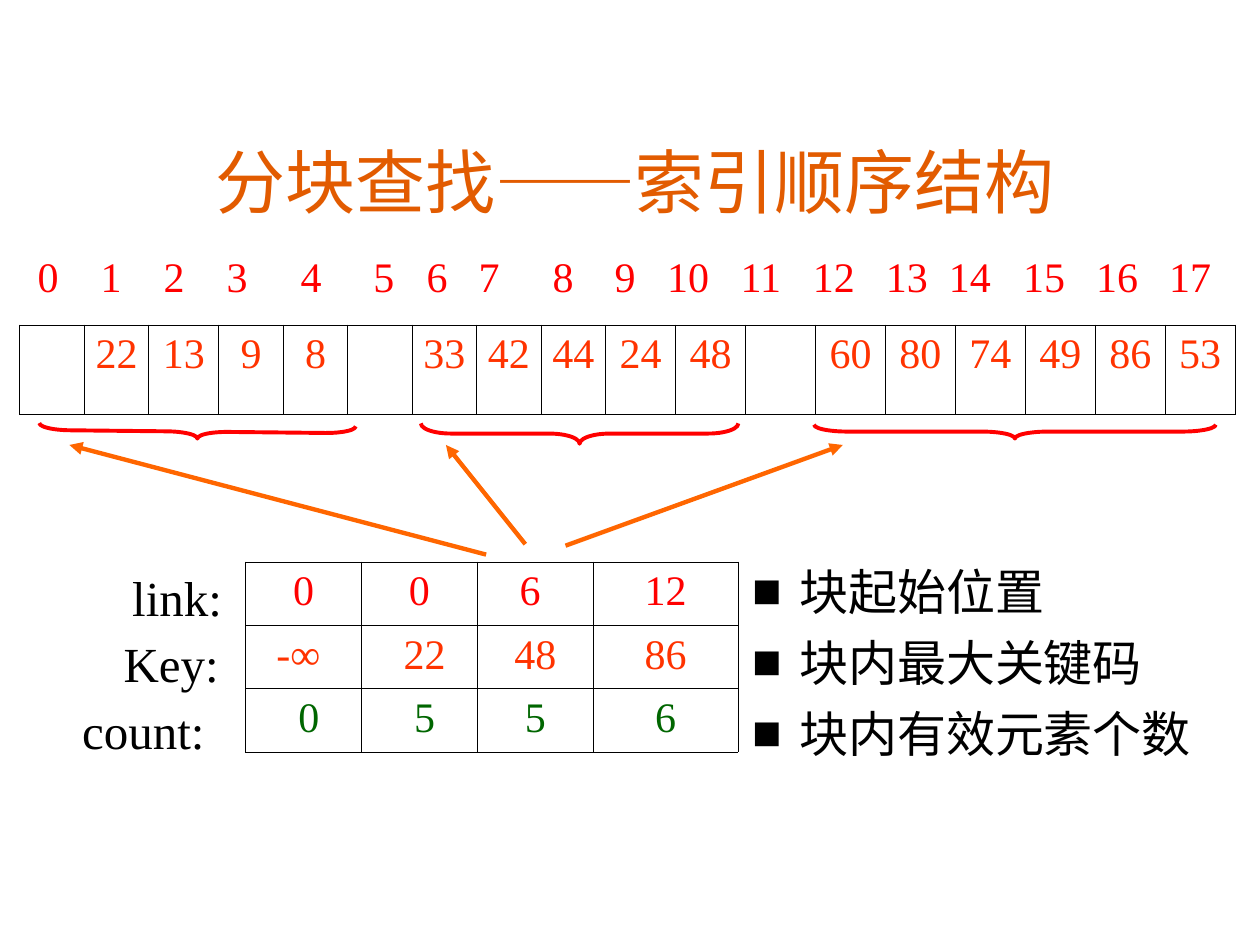
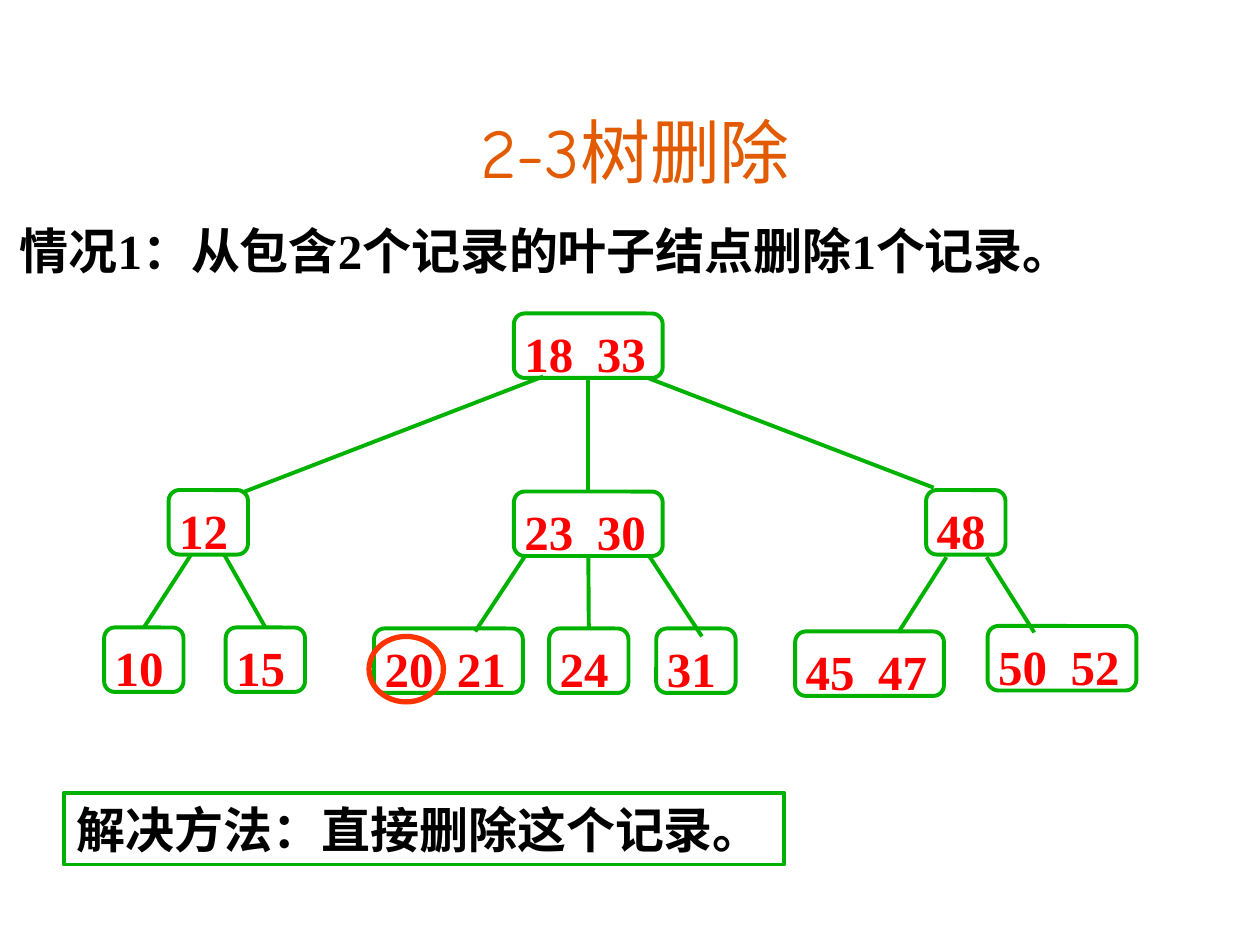
from lxml.etree import SubElement as Sub
from pptx import Presentation
from pptx.dml.color import RGBColor as Rgb
from pptx.enum.shapes import MSO_CONNECTOR as Link, MSO_SHAPE as Kind
from pptx.enum.text import MSO_ANCHOR as Anchor, MSO_AUTO_SIZE as Fit, PP_ALIGN as Align
from pptx.oxml.ns import qn
from pptx.util import Cm, Pt

BLACK = Rgb(0, 0, 0)
RED = Rgb(0xFF, 0, 0)
FLAME = Rgb(0xFF, 0x33, 0)
AMBER = Rgb(0xFF, 0x66, 0)
RUST = Rgb(0xE2, 0x5B, 0)
GREEN = Rgb(0, 0xB2, 0)
PINE = Rgb(0, 0x66, 0)
SERIF, SANS, COMIC = "Times New Roman", "Noto Sans CJK SC", "Comic Neue"

STOPS = [2.24, 3.51, 4.78, 6.27, 7.74, 8.81, 9.86, 11.35, 12.6,
         13.87, 15.34, 16.81, 18.28, 19.55, 21.05, 22.52, 23.99]
KEYS = ["", "22", "13", "9", "8", "", "33", "42", "44",
        "24", "48", "", "60", "80", "74", "49", "86", "53"]
BLOCKS = [
    (RED, ["0", "0", "6 ", "12"]),
    (FLAME, ["-∞ ", " 22", "48", "86"]),
    (PINE, [" 0", " 5", "5", "6"]),
]
LABELS = [("link:", 1.57, 11.32), ("Key:", 1.45, 12.65), ("count:", 0.89, 14)]
BRACES = [
    (3.84, 5.51, 0.28, 6.38, 270.6, 2.2),
    (11.48, 5.54, 0.41, 6.4, 270, 1.5),
    (20.32, 4.65, 0.28, 8.1, 270, 2.4),
]
ARROWS = [(9.8, 11.18, 1.4, 8.97), (10.59, 10.97, 8.99, 8.97), (11.4, 11, 16.99, 8.97)]
NODES = {
    "18\t33": (10.36, 6.32),
    "12": (3.4, 9.88), "23\t30": (10.36, 9.91), "48": (18.67, 9.88),
    "10": (2.1, 12.65), "15": (4.55, 12.65), "20\t21": (7.54, 12.67),
    "24": (11.07, 12.67), "31": (13.23, 12.67),
    "45\t47": (16.03, 12.73), "50\t52": (19.91, 12.62),
}
EDGES = [
    (10.95, 7.59, 4.88, 9.93), (13.06, 7.62, 18.82, 9.83),
    (10.57, 11.23, 9.58, 12.73), (13.08, 11.2, 14.15, 12.83),
    (19.08, 11.23, 18.11, 12.75), (19.89, 11.23, 20.85, 12.75),
]
JOINS = [("18\t33", "23\t30"), ("23\t30", "24")]
HALF = [(3.84, 11.2, "10"), (4.52, 11.18, "15")]


def write(para, text, size, color, font=SERIF, bold=False):
    run = para.add_run()
    run.text = text
    face = run.font
    face.size, face.bold, face.name = Pt(size), bold, font
    face.color.rgb = color
    Sub(run._r.get_or_add_rPr(), qn("a:ea"), typeface=SANS)


def tabs(para, stops, side):
    tray = Sub(para._p.get_or_add_pPr(), qn("a:tabLst"))
    for stop in stops:
        Sub(tray, qn("a:tab"), pos=str(Cm(stop)), algn=side)


def place(item, x, y, w, h):
    item.left, item.top, item.width, item.height = Cm(x), Cm(y), Cm(w), Cm(h)


def pad(frame, left, top, right, low):
    frame.margin_left, frame.margin_top = Cm(left), Cm(top)
    frame.margin_right, frame.margin_bottom = Cm(right), Cm(low)


def title(slide, text, font, y):
    head = slide.shapes.title
    place(head, 1.9, y, 21.8, 2.11)
    frame = head.text_frame
    frame.auto_size = Fit.NONE
    frame.vertical_anchor = Anchor.BOTTOM
    para = frame.paragraphs[0]
    para.alignment = Align.CENTER
    write(para, text, 40, RUST, font)


def label(slide, text, x, y, w, h, align=Align.LEFT, bold=False):
    frame = slide.shapes.add_textbox(Cm(x), Cm(y), Cm(w), Cm(h)).text_frame
    frame.word_wrap = True
    frame.vertical_anchor = Anchor.MIDDLE if bold else Anchor.TOP
    para = frame.paragraphs[0]
    para.alignment = align
    write(para, text, 28, BLACK, bold=bold)


def scale(slide):
    frame = slide.shapes.add_textbox(Cm(0.76), Cm(5.06), Cm(24), Cm(1.1)).text_frame
    frame.word_wrap = True
    pad(frame, 0, 0, 0, 0)
    para = frame.paragraphs[0]
    tabs(para, [stop - 0.76 for stop in STOPS], "ctr")
    write(para, "\t".join(str(n) for n in range(18)), 24, RED)


def points(slide, lines):
    body = slide.placeholders[1]
    place(body, 14.91, 10.95, 9.8, 4.9)
    frame = body.text_frame
    frame.auto_size = Fit.NONE
    for i, line in enumerate(lines):
        para = frame.add_paragraph() if i else frame.paragraphs[0]
        para.space_before = Pt(0)
        para.line_spacing = Pt(40.5)
        props = para._p.get_or_add_pPr()
        props.set("marL", str(Cm(0.95)))
        props.set("indent", str(-Cm(0.95)))
        Sub(props, qn("a:buChar"), char="■")
        write(para, line, 28, BLACK, COMIC)


def rule(cell):
    props = cell._tc.get_or_add_tcPr()
    for i, side in enumerate(("lnL", "lnR", "lnT", "lnB")):
        line = props.makeelement(qn("a:" + side), {"w": str(Pt(0.45))})
        Sub(Sub(line, qn("a:solidFill")), qn("a:srgbClr"), val=str(BLACK))
        props.insert(i, line)


def grid(slide, x, y, widths, high, rows, gap):
    frame = slide.shapes.add_table(
        len(rows), len(widths), Cm(x), Cm(y), Cm(sum(widths)), Cm(high * len(rows)))
    table = frame.table
    table.first_row = table.horz_banding = False
    for col, width in zip(table.columns, widths):
        col.width = Cm(width)
    for r, (color, texts) in enumerate(rows):
        table.rows[r].height = Cm(high)
        for c, text in enumerate(texts):
            cell = table.cell(r, c)
            cell.fill.background()
            rule(cell)
            pad(cell, gap, 0.13, gap, 0.13)
            para = cell.text_frame.paragraphs[0]
            para.alignment = Align.CENTER
            if text:
                write(para, text, 24, color)


def shape(slide, kind, x, y, w, h, color, width):
    item = slide.shapes.add_shape(kind, Cm(x), Cm(y), Cm(w), Cm(h))
    item.shadow.inherit = False
    item.fill.background()
    item.line.color.rgb = color
    item.line.width = Pt(width)
    return item


def brace(slide, x, y, w, h, turn, bend):
    item = shape(slide, Kind.LEFT_BRACE, x, y, w, h, RED, 2.25)
    item.rotation = turn
    item.adjustments[0] = bend


def line(slide, x1, y1, x2, y2, color=GREEN, width=2.25, arrow=False):
    item = slide.shapes.add_connector(Link.STRAIGHT, Cm(x1), Cm(y1), Cm(x2), Cm(y2))
    item.line.color.rgb = color
    item.line.width = Pt(width)
    if arrow:
        Sub(item.line._get_or_add_ln(), qn("a:tailEnd"), type="triangle")
    Sub(item._element.spPr, qn("a:effectLst"))
    return item


def node(slide, text, x, y):
    pair = "\t" in text
    item = shape(slide, Kind.ROUNDED_RECTANGLE, x, y, 3 if pair else 1.6, 1.3, GREEN, 2.25)
    frame = item.text_frame
    frame.vertical_anchor = Anchor.TOP
    pad(frame, 0.15, 0.14, 0, 0)
    para = frame.paragraphs[0]
    para.alignment = Align.LEFT
    if pair:
        tabs(para, [1.46], "l")
    write(para, text, 28, RED, bold=True)
    return item


def index(slide):
    title(slide, "分块查找——索引顺序结构", SANS, 2.51)
    scale(slide)
    wide = {2, *range(9, 18)}
    widths = [1.41 if i in wide else 1.3 for i in range(18)]
    grid(slide, 0.4, 6.55, widths, 1.8, [(FLAME, KEYS)], 0.1)
    for spot in BRACES:
        brace(slide, *spot)
    for ends in ARROWS:
        line(slide, *ends, AMBER, 2.5, True)
    for text, x, y in LABELS:
        label(slide, text, x, y, 4, 1.4, Align.CENTER)
    grid(slide, 4.95, 11.33, [2.34, 2.33, 2.34, 2.92], 1.27, BLOCKS, 0.25)
    points(slide, ["块起始位置", "块内最大关键码", "块内有效元素个数"])


def tree(slide):
    title(slide, "2-3树删除", COMIC, 1.9)
    label(slide, "情况1：从包含2个记录的叶子结点删除1个记录。", 0.15, 4.32, 24, 1.45, bold=True)
    nodes = {text: node(slide, text, *spot) for text, spot in NODES.items()}
    for ends in EDGES:
        line(slide, *ends)
    for top, low in JOINS:
        link = line(slide, 0, 0, 1, 1)
        link.begin_connect(nodes[top], 2)
        link.end_connect(nodes[low], 0)
    for x, y, low in HALF:
        line(slide, x, y, x, y + 1).end_connect(nodes[low], 0)
    shape(slide, Kind.OVAL, 7.44, 12.83, 1.5, 1.32, FLAME, 3)
    shape(slide, Kind.RECTANGLE, 1.3, 15.98, 14.5, 1.45, GREEN, 2.25)
    label(slide, "解决方法：直接删除这个记录。", 1.3, 15.98, 14.5, 1.45, bold=True)


def main():
    deck = Presentation()
    deck.slide_width, deck.slide_height = Cm(25.4), Cm(19.05)
    for layout, draw in ((1, index), (5, tree)):
        draw(deck.slides.add_slide(deck.slide_layouts[layout]))
    deck.save("out.pptx")


if __name__ == "__main__":
    main()
